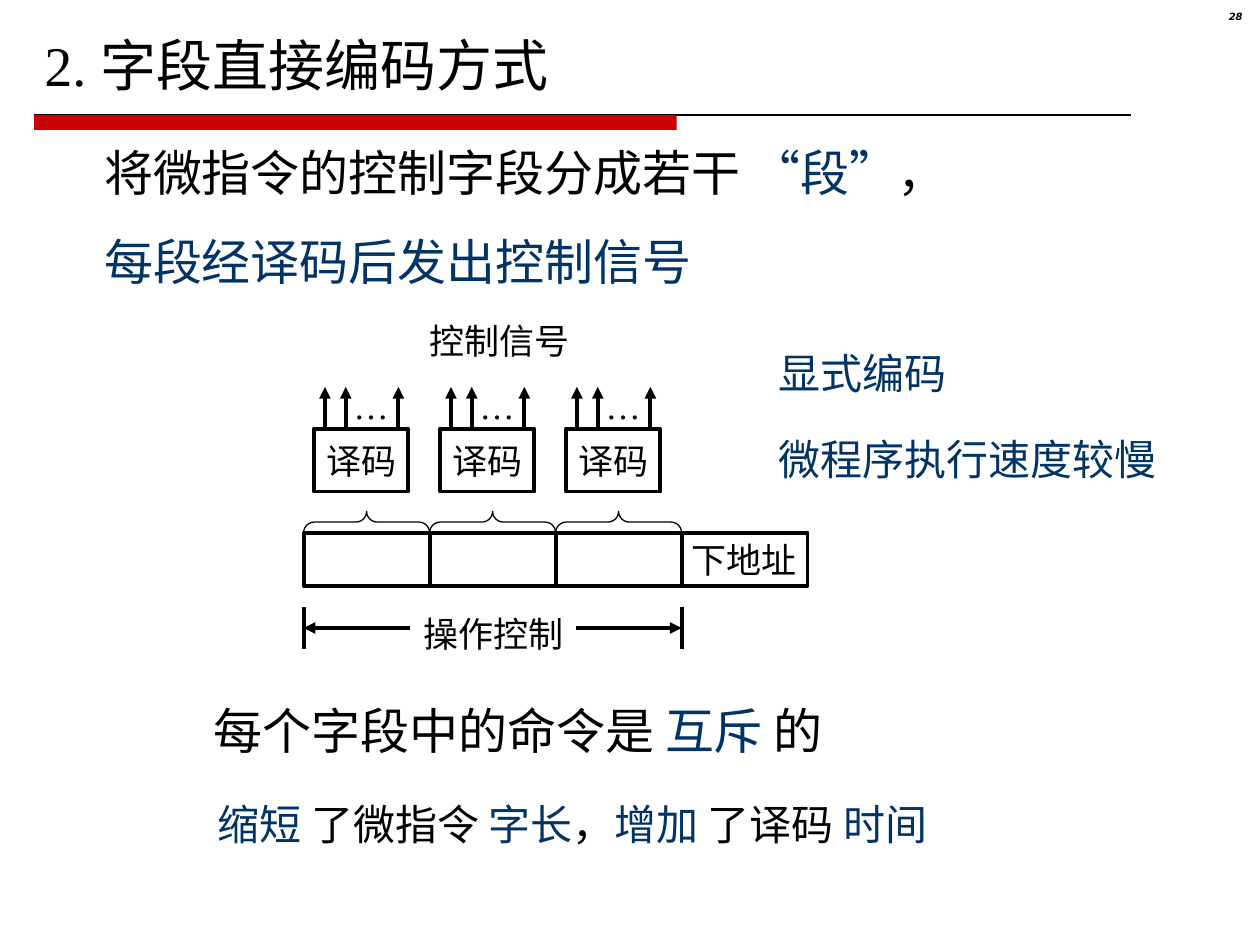
import lxml.etree
import pptx
import pptx.util
import pptx.dml.color
import pptx.enum.shapes
import pptx.enum.text
import pptx.oxml.ns

BLACK = pptx.dml.color.RGBColor(0x00, 0x00, 0x00)
NAVY = pptx.dml.color.RGBColor(0x00, 0x33, 0x66)
RED = pptx.dml.color.RGBColor(0xCC, 0x00, 0x00)
SERIF = "Times New Roman"
SANS = "DejaVu Sans"
SHAPES = pptx.enum.shapes.MSO_SHAPE
ALIGN = pptx.enum.text.PP_ALIGN
ANCHOR = pptx.enum.text.MSO_ANCHOR
Cm = pptx.util.Cm
qn = pptx.oxml.ns.qn


def fill_para(para, size, spans):
    for text, font, color in spans:
        span = para.add_run()
        span.text = text
        span.font.size = pptx.util.Pt(size)
        span.font.name = font
        span.font.color.rgb = color


def draw_line(x1, y1, x2, y2, width=2.25, arrow=False):
    line = slide.shapes.add_connector(
        pptx.enum.shapes.MSO_CONNECTOR.STRAIGHT, Cm(x1), Cm(y1), Cm(x2), Cm(y2))
    line.line.color.rgb = BLACK
    line.line.width = pptx.util.Pt(width)
    properties = line._element.spPr
    if arrow:
        lxml.etree.SubElement(properties.find(qn("a:ln")), qn("a:tailEnd"), type="triangle")
    lxml.etree.SubElement(properties, qn("a:effectLst"))


deck = pptx.Presentation()
deck.slide_width = Cm(25.4)
deck.slide_height = Cm(19.05)
slide = deck.slides.add_slide(deck.slide_layouts[5])

title = slide.shapes.title
title.left, title.top, title.width, title.height = Cm(0.64), Cm(0.48), Cm(22), Cm(1.63)
title.text_frame.auto_size = pptx.enum.text.MSO_AUTO_SIZE.NONE
title.text_frame.vertical_anchor = ANCHOR.TOP
title.text_frame.paragraphs[0].alignment = ALIGN.LEFT
fill_para(title.text_frame.paragraphs[0], 32,
          [("2. ", SERIF, BLACK), ("字段直接编码方式", SANS, BLACK)])

draw_line(0.69, 2.32, 22.8, 2.32, width=0.75)
bar = slide.shapes.add_shape(SHAPES.RECTANGLE, Cm(0.69), Cm(2.32), Cm(12.95), Cm(0.3))
bar.shadow.inherit = False
bar.fill.solid()
bar.fill.fore_color.rgb = RED
bar.line.fill.background()

pitch = 2.54
field_left, field_top, field_height = 6.12, 10.74, 1.07
decoder_top, decoder_width, decoder_height = 8.64, 1.9, 1.27
field_right = field_left + 3 * pitch
brace_width = 0.43

frames = [(field_right, field_top, pitch, field_height, "下地址")]
for index in range(3):
    left = field_left + index * pitch
    frames.append((left, field_top, pitch, field_height, ""))
    frames.append((left + 0.21, decoder_top, decoder_width, decoder_height, "译码"))
    for offset in (0.43, 0.85, 1.91):
        draw_line(left + offset, decoder_top, left + offset, 7.8, arrow=True)

    brace = slide.shapes.add_shape(
        SHAPES.LEFT_BRACE, Cm(left + (pitch - brace_width) / 2),
        Cm(field_top - (pitch + brace_width) / 2), Cm(brace_width), Cm(pitch))
    brace.rotation = 90
    brace.adjustments[0] = 0.5
    brace.shadow.inherit = False
    brace.fill.background()
    brace.line.color.rgb = BLACK
    brace.line.width = pptx.util.Pt(0.75)

for left, top, width, height, label in frames:
    box = slide.shapes.add_shape(SHAPES.RECTANGLE, Cm(left), Cm(top), Cm(width), Cm(height))
    box.shadow.inherit = False
    box.fill.background()
    box.line.color.rgb = BLACK
    box.line.width = pptx.util.Pt(2.25)
    if label:
        box.text_frame.word_wrap = False
        box.text_frame.vertical_anchor = ANCHOR.MIDDLE
        box.text_frame.paragraphs[0].alignment = ALIGN.CENTER
        fill_para(box.text_frame.paragraphs[0], 20, [(label, SERIF, BLACK)])

for edge, inner in ((field_left, 8.26), (field_right, 11.61)):
    draw_line(edge, 12.24, edge, 13.08)
    draw_line(inner, 12.66, edge, 12.66, arrow=True)

texts = [
    (1.85, 2.74, 21.2, 3.25, True, 28, [
        [("将微指令的控制字段分成若干 ", SANS, BLACK), ("“", "Arial", NAVY),
         ("段", SANS, NAVY), ("”", "Arial", NAVY), ("，", SANS, BLACK)],
        [("每段经译码后发出控制信号", SANS, NAVY)]]),
    (4.06, 14, 14.6, 1.45, True, 28, [
        [("每个字段中的命令是 ", SANS, BLACK), ("互斥 ", SANS, NAVY), ("的", SANS, BLACK)]]),
    (4.14, 15.98, 14.81, 1.27, False, 24, [
        [("缩短 ", SERIF, NAVY), ("了微指令 ", SERIF, BLACK), ("字长", SERIF, NAVY),
         ("，", SERIF, BLACK), ("增加 ", SERIF, NAVY), ("了译码 ", SERIF, BLACK),
         ("时间", SERIF, NAVY)]]),
    (15.44, 6.88, 6, 1.27, True, 24, [[("显式编码", SERIF, NAVY)]]),
    (15.44, 8.61, 8.13, 1.27, False, 24, [[("微程序执行速度较慢", SERIF, NAVY)]]),
    (8.41, 6.32, 3.33, 1.12, False, 20, [[("控制信号", SERIF, BLACK)]]),
    (8.28, 12.22, 3.33, 1.12, False, 20, [[("操作控制", SERIF, BLACK)]]),
    (23.8, 0.13, 1.5, 0.58, True, 5.7, [[("28", SANS, BLACK)]]),
]
for index in range(3):
    texts.append((6.88 + index * pitch, 7.62, 1.22, 1.12, False, 20, [[("…", SERIF, BLACK)]]))

for left, top, width, height, wrap, size, lines in texts:
    box = slide.shapes.add_textbox(Cm(left), Cm(top), Cm(width), Cm(height))
    box.text_frame.word_wrap = wrap
    for number, spans in enumerate(lines):
        para = box.text_frame.paragraphs[0]
        if number:
            para = box.text_frame.add_paragraph()
            para.space_before = pptx.util.Pt(17.5)
        fill_para(para, size, spans)
    if box.text_frame.text == "28":
        para.alignment = ALIGN.RIGHT
        para.line_spacing = 0.8
        para.runs[0].font.bold = True
        para.runs[0].font.italic = True

deck.save("out.pptx")
